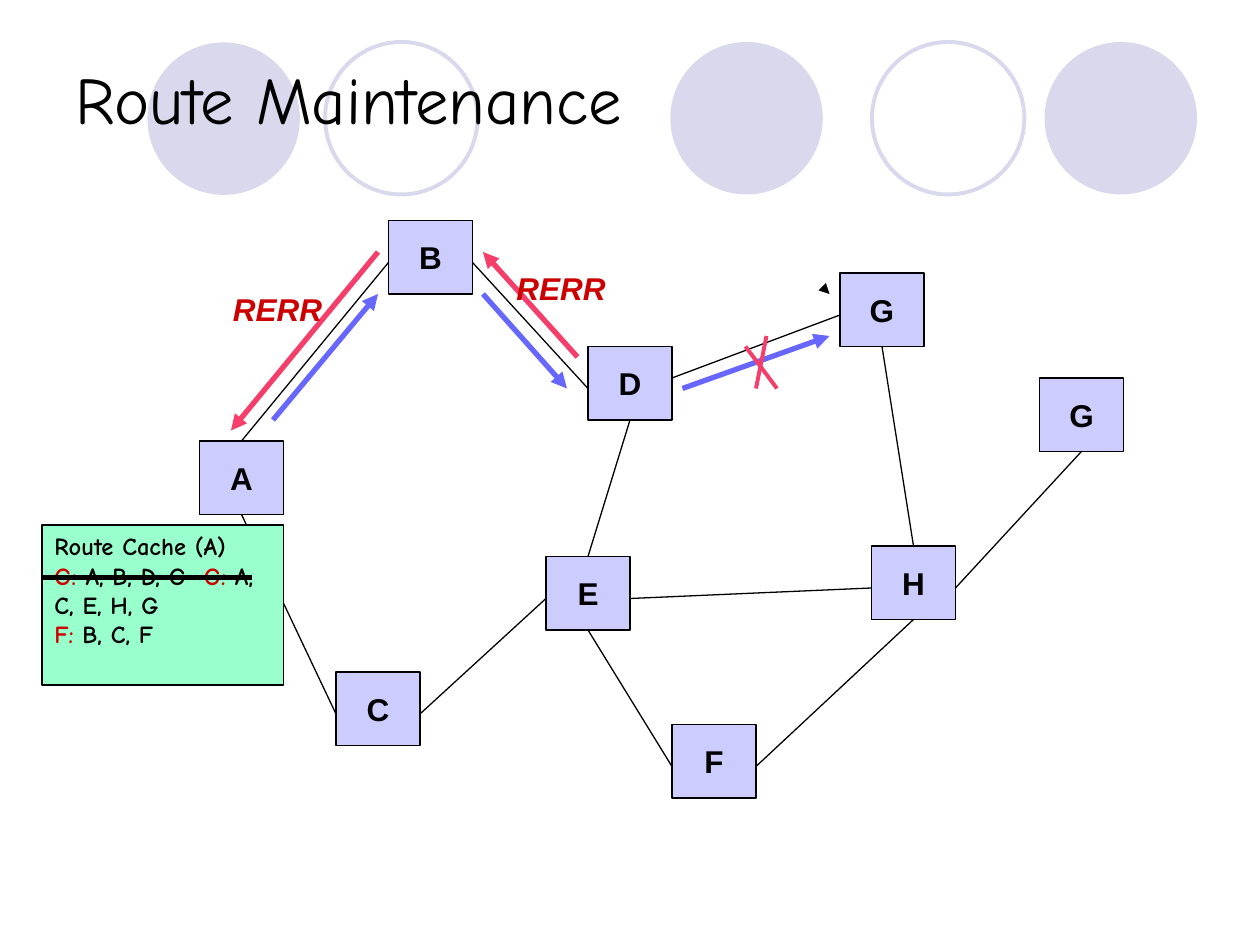
from dataclasses import dataclass

from lxml.etree import SubElement
from pptx import Presentation
from pptx.dml.color import RGBColor
from pptx.enum.shapes import MSO_CONNECTOR as CONN, MSO_SHAPE as SHAPE
from pptx.enum.text import MSO_ANCHOR as ANCHOR, PP_ALIGN as ALIGN
from pptx.oxml.ns import qn
from pptx.util import Cm, Pt

BLACK = RGBColor(0x00, 0x00, 0x00)
LAVENDER = RGBColor(0xD9, 0xD8, 0xEC)
NODE_FILL = RGBColor(0xCC, 0xCC, 0xFF)
CACHE_FILL = RGBColor(0x99, 0xFF, 0xCC)
BLUE = RGBColor(0x67, 0x67, 0xFF)
PINK = RGBColor(0xF6, 0x3E, 0x6A)
RED = RGBColor(0xCC, 0x00, 0x00)

GRID = 2.54 / 12
NODE_W, NODE_H = 8, 7
CIRCLE_SIZE = 14.52

NODE_FONT = {"name": "Arial", "size": Pt(18), "bold": True}
RERR_FONT = {**NODE_FONT, "italic": True}
CACHE_FONT = {"name": "Comic Neue", "size": Pt(14), "bold": True}
TITLE_FONT = {"name": "Comic Neue", "size": Pt(38)}

TOP, BOTTOM, LEFT, RIGHT, UPPER_RIGHT = (4, 0), (4, 7), (0, 4), (8, 4), (8, 3)


@dataclass
class Circle:
    x: float
    y: float
    filled: bool


@dataclass
class Node:
    label: str
    x: float
    y: float

    def port(self, side: tuple) -> tuple:
        return self.x + side[0], self.y + side[1]


@dataclass
class Line:
    start: tuple
    end: tuple
    color: RGBColor = BLACK
    width: float = 0.75
    arrow: bool = False


CIRCLES = [
    Circle(63.84, 4, True),
    Circle(99.48, 4, True),
    Circle(14.04, 4.04, True),
    Circle(83.04, 4, False),
    Circle(30.96, 4, False),
]

A, B, C = Node("A", 19, 42), Node("B", 37, 21), Node("C", 32, 64)
D, E, F = Node("D", 56, 33), Node("E", 52, 53), Node("F", 64, 69)
G, H, G_MOVED = Node("G", 80, 26), Node("H", 83, 52), Node("G", 99, 36)
NODES = [A, B, C, E, D, G, H, F, G_MOVED]

LINKS = [
    (A, TOP, B, LEFT),
    (B, RIGHT, D, LEFT),
    (D, BOTTOM, E, TOP),
    (A, BOTTOM, C, LEFT),
    (E, BOTTOM, F, LEFT),
    (D, UPPER_RIGHT, G, LEFT),
    (G, BOTTOM, H, TOP),
    (F, RIGHT, H, BOTTOM),
    (E, RIGHT, H, LEFT),
    (C, RIGHT, E, LEFT),
    (H, RIGHT, G_MOVED, BOTTOM),
]

ROUTE_LINES = [
    Line((79, 28), (79.01, 28.01), arrow=True),
    Line((26, 40), (36, 28), BLUE, 3, True),
    Line((46, 28), (54, 37), BLUE, 3, True),
    Line((65, 37), (79, 32), BLUE, 3, True),
    Line((71, 33), (74, 37), PINK, 2.25),
    Line((73, 32), (72, 37), PINK, 2.25),
    Line((55, 34), (46, 24), PINK, 3, True),
    Line((36, 24), (22, 41), PINK, 3, True),
]

CACHE_RUNS = [
    [("Route Cache (A)", BLACK)],
    [("G:", RED), (" A, B, D, G  ", BLACK), ("G:", RED), (" A, C, E, H, G", BLACK)],
    [("F:", RED), (" B, C, F", BLACK)],
]


def grid(n: float) -> Cm:
    return Cm(n * GRID)


def set_attrs(obj, values: dict) -> None:
    for name, value in values.items():
        setattr(obj, name, value)


def add_run(p, text: str, font: dict, color: RGBColor) -> None:
    r = p.add_run()
    r.text = text
    set_attrs(r.font, font)
    r.font.color.rgb = color


def add_box(s, kind, x: float, y: float, w: float, h: float,
            fill=None, line=BLACK, width: float = 0.75):
    sp = s.shapes.add_shape(kind, grid(x), grid(y), grid(w), grid(h))
    sp.shadow.inherit = False
    if fill is None:
        sp.fill.background()
    else:
        sp.fill.solid()
        sp.fill.fore_color.rgb = fill
    if line is None:
        sp.line.fill.background()
    else:
        sp.line.color.rgb = line
        sp.line.width = Pt(width)
    return sp


def add_circle(s, c: Circle) -> None:
    fill, line = (LAVENDER, None) if c.filled else (None, LAVENDER)
    add_box(s, SHAPE.OVAL, c.x, c.y, CIRCLE_SIZE, CIRCLE_SIZE, fill, line, 2.25)


def add_node(s, n: Node) -> None:
    sp = add_box(s, SHAPE.RECTANGLE, n.x, n.y, NODE_W, NODE_H, NODE_FILL)
    tf = sp.text_frame
    set_attrs(tf, {"word_wrap": False, "vertical_anchor": ANCHOR.MIDDLE})
    p = tf.paragraphs[0]
    p.alignment = ALIGN.CENTER
    add_run(p, n.label, NODE_FONT, BLACK)


def add_line(s, ln: Line) -> None:
    cx = s.shapes.add_connector(CONN.STRAIGHT, *map(grid, ln.start + ln.end))
    cx.line.color.rgb = ln.color
    cx.line.width = Pt(ln.width)
    if ln.arrow:
        SubElement(cx.line._get_or_add_ln(), qn("a:tailEnd"), type="triangle")
    SubElement(cx._element.spPr, qn("a:effectLst"))


def add_text(s, text: str, x: float, y: float, w: float, h: float,
             font: dict, color: RGBColor, frame: dict) -> None:
    tf = s.shapes.add_textbox(grid(x), grid(y), grid(w), grid(h)).text_frame
    set_attrs(tf, frame)
    add_run(tf.paragraphs[0], text, font, color)


def add_cache(s) -> None:
    sp = add_box(s, SHAPE.RECTANGLE, 4, 50, 23, 15.25, CACHE_FILL)
    tf = sp.text_frame
    set_attrs(tf, {"word_wrap": True, "vertical_anchor": ANCHOR.TOP})
    p = tf.paragraphs[0]
    set_attrs(p, {"alignment": ALIGN.LEFT, "space_before": Pt(8.8)})
    for i, runs in enumerate(CACHE_RUNS):
        if i:
            p.add_line_break()
        for text, color in runs:
            add_run(p, text, CACHE_FONT, color)


def main() -> None:
    prs = Presentation()
    set_attrs(prs, {"slide_width": Cm(25.4), "slide_height": Cm(19.05)})
    s = prs.slides.add_slide(prs.slide_layouts[6])
    for c in CIRCLES:
        add_circle(s, c)
    for n in NODES:
        add_node(s, n)
    for a, a_side, b, b_side in LINKS:
        add_line(s, Line(a.port(a_side), b.port(b_side)))
    for ln in ROUTE_LINES:
        add_line(s, ln)
    for x, y in ((48, 25), (21, 27)):
        add_text(s, "RERR", x, y, 10.92, 4.8, RERR_FONT, RED, {"word_wrap": False})
    add_cache(s)
    add_line(s, Line((4, 55), (24, 55), width=3))
    add_text(s, "Route Maintenance", 6, 3.6, 108, 11.4, TITLE_FONT, BLACK,
             {"word_wrap": True, "vertical_anchor": ANCHOR.MIDDLE})
    prs.save("out.pptx")


if __name__ == "__main__":
    main()
